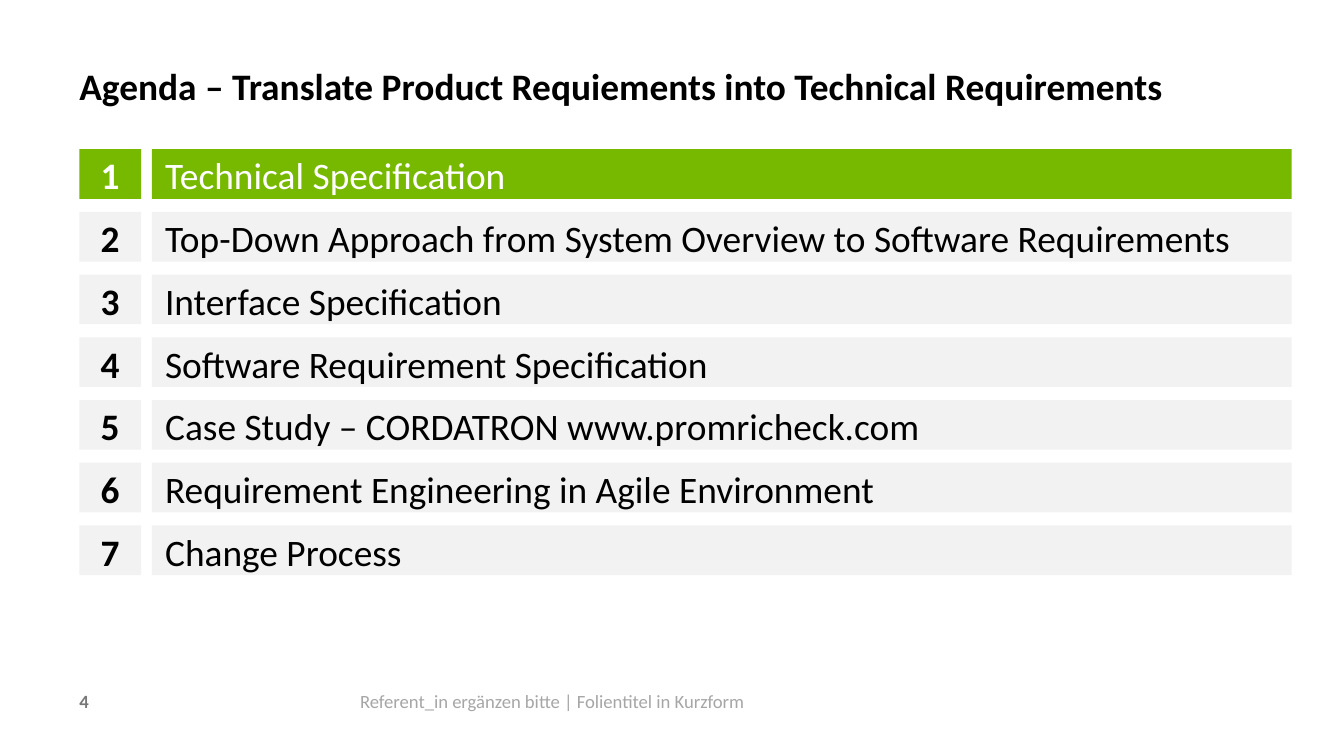
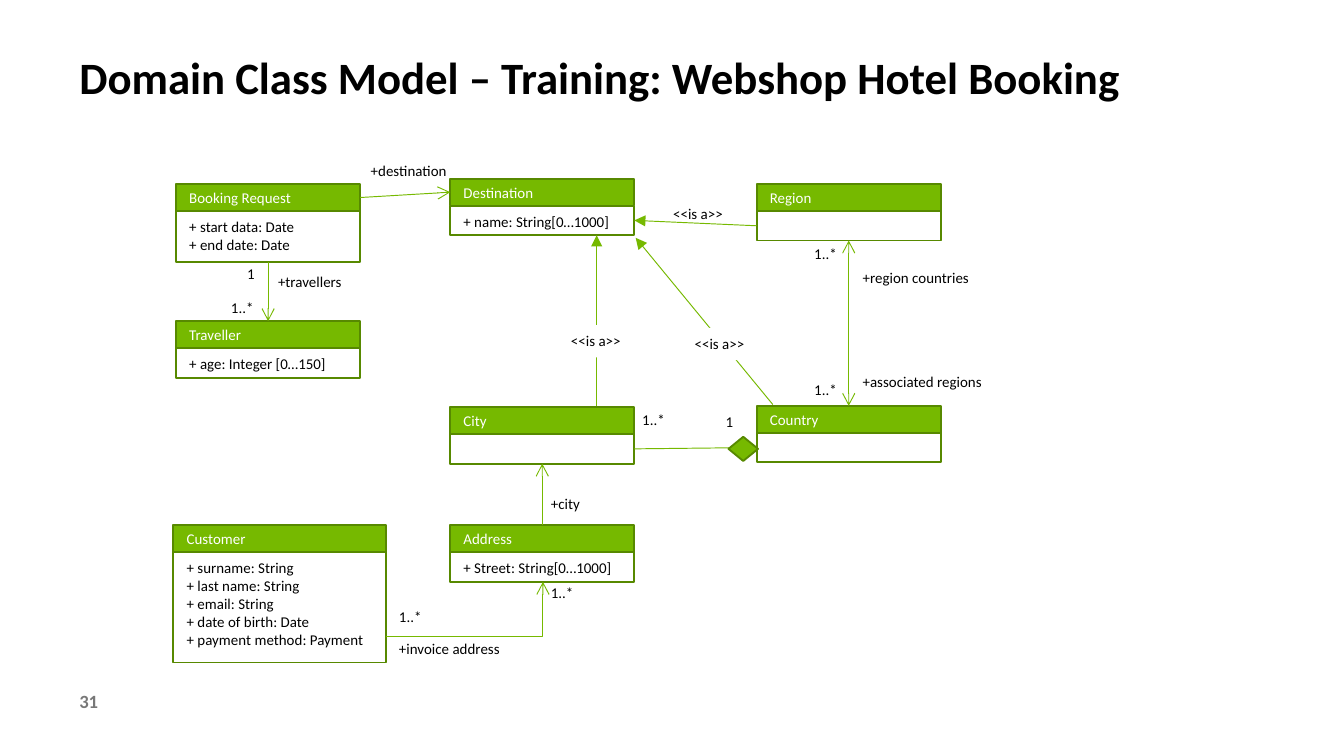
from dataclasses import dataclass

from lxml.etree import SubElement
from pptx import Presentation
from pptx.dml.color import RGBColor
from pptx.enum.shapes import MSO_CONNECTOR, MSO_SHAPE
from pptx.enum.text import MSO_ANCHOR, MSO_AUTO_SIZE, PP_ALIGN
from pptx.oxml.ns import qn
from pptx.util import Inches, Pt


@dataclass(frozen=True)
class Theme:
    font: str = "Calibri"
    green: str = "76B900"
    dark_green: str = "578900"
    pale: str = "F2F2F2"
    white: str = "FFFFFF"
    black: str = "000000"
    number_grey: str = "787878"
    footer_grey: str = "A6A6A6"
    agenda_size: float = 20
    model_title_size: float = 24
    footer_size: float = 10
    model_size: float = 8
    outline: float = 1
    link: float = 0.5


@dataclass(frozen=True)
class Box:
    left: float
    top: float
    width: float
    height: float

    def inside(self, left, top, width, height):
        """A box whose offset is counted from this box's corner."""
        return Box(self.left + left, self.top + top, width, height)

    def inches(self):
        return [Inches(value) for value in (self.left, self.top, self.width, self.height)]


THEME = Theme()
PAGE_WIDTH = 10
PAGE_HEIGHT = PAGE_WIDTH * 9 / 16
MARGIN = 0.59
TOP, LEFT, BOTTOM, RIGHT = range(4)

AGENDA = [
    "Technical Specification",
    "Top-Down Approach from System Overview to Software Requirements",
    "Interface Specification",
    "Software Requirement Specification",
    "Case Study – CORDATRON www.promricheck.com",
    "Requirement Engineering in Agile Environment",
    "Change Process",
]

# name: (left, top, width, body height, attributes), from the diagram's corner
HEADER_HEIGHT = 0.2
CLASSES = {
    "Booking Request": (0.31, 0.37, 1.37, 0.38, ["+ start data: Date", "+ end date: Date"]),
    "Traveller": (0.31, 1.39, 1.37, 0.22, ["+ age: Integer [0…150]"]),
    "City": (2.35, 2.03, 1.37, 0.22, []),
    "Destination": (2.35, 0.33, 1.37, 0.22, ["+ name: String[0…1000]"]),
    "Address": (2.35, 2.91, 1.37, 0.22, ["+ Street: String[0…1000]"]),
    "Country": (4.63, 2.02, 1.37, 0.22, []),
    "Region": (4.63, 0.37, 1.37, 0.22, []),
    "Customer": (0.29, 2.91, 1.58, 0.82, [
        "+ surname: String", "+ last name: String", "+ email: String",
        "+ date of birth: Date", "+ payment method: Payment"]),
}

# (class, part, side) at both ends, then head and tail arrows
HEADER, BODY = range(2)
JOINED_LINKS = [
    (("City", BODY, RIGHT), ("Country", BODY, LEFT), None, None),
    (("Region", BODY, BOTTOM), ("Country", HEADER, TOP), "arrow", "arrow"),
    (("Address", HEADER, TOP), ("City", BODY, BOTTOM), None, "arrow"),
    (("Booking Request", HEADER, RIGHT), ("Destination", HEADER, LEFT), None, "arrow"),
    (("Booking Request", BODY, BOTTOM), ("Traveller", HEADER, TOP), None, "arrow"),
    (("Region", BODY, LEFT), ("Destination", BODY, RIGHT), None, "triangle"),
]
FREE_LINKS = [
    (MSO_CONNECTOR.ELBOW, (1.87, 3.74), (3.04, 3.33), "arrow"),
    (MSO_CONNECTOR.STRAIGHT, (3.44, 2.02), (3.44, 0.75), "triangle"),
    (MSO_CONNECTOR.STRAIGHT, (4.75, 2.01), (3.73, 0.77), "triangle"),
]

# text, left, top, width, fill
LABEL_HEIGHT = 0.24
ROLE_WIDTH, COUNT_WIDTH, KIND_WIDTH = 1.05, 0.45, 0.58
LABELS = [
    ("+invoice address", 1.87, 3.71, ROLE_WIDTH, None),
    ("+region countries", 5.32, 0.95, ROLE_WIDTH, None),
    ("+associated regions", 5.32, 1.72, 1.37, None),
    ("+city", 3, 2.63, ROLE_WIDTH, None),
    ("+travellers", 0.97, 0.98, ROLE_WIDTH, None),
    ("+destination", 1.66, 0.15, ROLE_WIDTH, None),
    ("1..*", 1.87, 3.47, COUNT_WIDTH, None),
    ("1..*", 3, 3.29, COUNT_WIDTH, None),
    ("1..*", 4.96, 0.77, COUNT_WIDTH, None),
    ("1..*", 4.96, 1.78, COUNT_WIDTH, None),
    ("1..*", 3.68, 2.01, COUNT_WIDTH, None),
    ("1..*", 0.62, 1.17, COUNT_WIDTH, None),
    ("1", 4.3, 2.02, COUNT_WIDTH, None),
    ("1", 0.74, 0.92, COUNT_WIDTH, None),
    ("<<is a>>", 3.15, 1.42, KIND_WIDTH, THEME.white),
    ("<<is a>>", 4.07, 1.44, KIND_WIDTH, THEME.white),
    ("<<is a>>", 3.91, 0.47, KIND_WIDTH, None),
]


def colour(code):
    return RGBColor.from_string(code)


def write(shape, lines, size, ink, bold=False, align=PP_ALIGN.LEFT,
          anchor=MSO_ANCHOR.TOP, spacing=None, after=None, inset=None):
    frame = shape.text_frame
    frame.word_wrap = True
    frame.auto_size = MSO_AUTO_SIZE.NONE
    frame.vertical_anchor = anchor
    if inset is not None:
        frame.margin_left = frame.margin_right = Inches(inset)
        frame.margin_top = frame.margin_bottom = Inches(inset)
    for index, line in enumerate(lines):
        para = frame.add_paragraph() if index else frame.paragraphs[0]
        para.alignment = align
        if spacing:
            para.line_spacing = Pt(spacing)
        if after:
            para.space_after = Pt(after)
        span = para.add_run()
        span.text = line
        span.font.name = THEME.font
        span.font.size = Pt(size)
        span.font.bold = bold
        span.font.color.rgb = colour(ink)


def draw_shape(page, box, fill, line=None, kind=MSO_SHAPE.RECTANGLE):
    shape = page.shapes.add_shape(kind, *box.inches())
    shape.shadow.inherit = False
    shape.fill.solid()
    shape.fill.fore_color.rgb = colour(fill)
    if line:
        shape.line.color.rgb = colour(line)
        shape.line.width = Pt(THEME.outline)
    else:
        shape.line.fill.background()
    return shape


def draw_text(page, box, text, size, ink, **style):
    write(page.shapes.add_textbox(*box.inches()), [text], size, ink, **style)


def draw_link(page, kind, start, end, head=None, tail=None):
    link = page.shapes.add_connector(kind, *(Inches(value) for value in (*start, *end)))
    link.line.color.rgb = colour(THEME.green)
    link.line.width = Pt(THEME.link)
    properties = link._element.spPr
    if kind == MSO_CONNECTOR.ELBOW:
        properties.find(qn("a:prstGeom")).set("prst", "bentConnector2")
    for tag, arrow in (("a:headEnd", head), ("a:tailEnd", tail)):
        if arrow:
            SubElement(properties.find(qn("a:ln")), qn(tag), type=arrow)
    SubElement(properties, qn("a:effectLst"))
    return link


def add_page(deck, title, box, size, number):
    """Add a slide with its title and page number."""
    page = deck.slides.add_slide(deck.slide_layouts[5])
    heading = page.shapes.title
    heading.left, heading.top, heading.width, heading.height = box.inches()
    write(heading, [title], size, THEME.black, bold=True, spacing=34, inset=0)
    draw_text(page, Box(MARGIN, 5.13, 1.89, 0.2), number, THEME.footer_size,
              THEME.number_grey, bold=True, inset=0)
    return page


def draw_agenda(page, area, active=0):
    row_height, number_width, text_left = 0.37, 0.46, 0.54
    pitch = (area.height - row_height) / (len(AGENDA) - 1)
    for index, topic in enumerate(AGENDA):
        fill, ink = (THEME.green, THEME.white) if index == active else (THEME.pale, THEME.black)
        cells = [
            (str(index + 1), 0, number_width, True, PP_ALIGN.CENTER),
            (topic, text_left, area.width - text_left, False, PP_ALIGN.LEFT),
        ]
        for text, left, width, bold, align in cells:
            cell = draw_shape(page, area.inside(left, index * pitch, width, row_height), fill)
            write(cell, [text], THEME.agenda_size, ink, bold=bold, align=align,
                  anchor=MSO_ANCHOR.MIDDLE, spacing=25, after=5.5)


def draw_class(page, box, name, attributes):
    """Draw one class and return its header and body."""
    body_box = box.inside(0, HEADER_HEIGHT, box.width, box.height - HEADER_HEIGHT)
    body = draw_shape(page, body_box, THEME.white, THEME.dark_green)
    if attributes:
        write(body, attributes, THEME.model_size, THEME.black)
    header = draw_shape(page, box.inside(0, 0, box.width, HEADER_HEIGHT),
                        THEME.green, THEME.dark_green)
    write(header, [name], THEME.model_size, THEME.white, anchor=MSO_ANCHOR.MIDDLE)
    return header, body


def draw_class_model(page, area):
    parts = {}
    for name, (left, top, width, body_height, attributes) in CLASSES.items():
        box = area.inside(left, top, width, HEADER_HEIGHT + body_height)
        parts[name] = draw_class(page, box, name, attributes)

    for start, end, head, tail in JOINED_LINKS:
        link = draw_link(page, MSO_CONNECTOR.STRAIGHT, (0, 0), (0, 0), head, tail)
        link.begin_connect(parts[start[0]][start[1]], start[2])
        link.end_connect(parts[end[0]][end[1]], end[2])
    for kind, start, end, tail in FREE_LINKS:
        start, end = ((area.left + x, area.top + y) for x, y in (start, end))
        draw_link(page, kind, start, end, tail=tail)
    draw_shape(page, area.inside(4.42, 2.25, 0.22, 0.18), THEME.green,
               THEME.dark_green, MSO_SHAPE.DIAMOND)

    for text, left, top, width, fill in LABELS:
        box = area.inside(left, top, width, LABEL_HEIGHT)
        if fill:
            write(draw_shape(page, box, fill), [text], THEME.model_size, THEME.black)
        else:
            draw_text(page, box, text, THEME.model_size, THEME.black)


def agenda_slide(deck):
    page = add_page(deck, "Agenda – Translate Product Requiements into Technical Requirements",
                    Box(MARGIN, 0.33, 8.23, 0.43), THEME.agenda_size, "4")
    draw_agenda(page, Box(MARGIN, 1.11, 9.02, 3.17))
    draw_text(page, Box(2.68, 5.13, 6, 0.2),
              "Referent_in ergänzen bitte | Folientitel in Kurzform",
              THEME.footer_size, THEME.footer_grey, inset=0)


def class_model_slide(deck):
    page = add_page(deck, "Domain Class Model – Training: Webshop Hotel Booking",
                    Box(MARGIN, 0.3, 8.82, 0.45), THEME.model_title_size, "31")
    draw_class_model(page, Box(1, 1, 7, 4))


def main():
    deck = Presentation()
    deck.slide_width, deck.slide_height = Inches(PAGE_WIDTH), Inches(PAGE_HEIGHT)
    agenda_slide(deck)
    class_model_slide(deck)
    deck.save("out.pptx")


if __name__ == "__main__":
    main()
